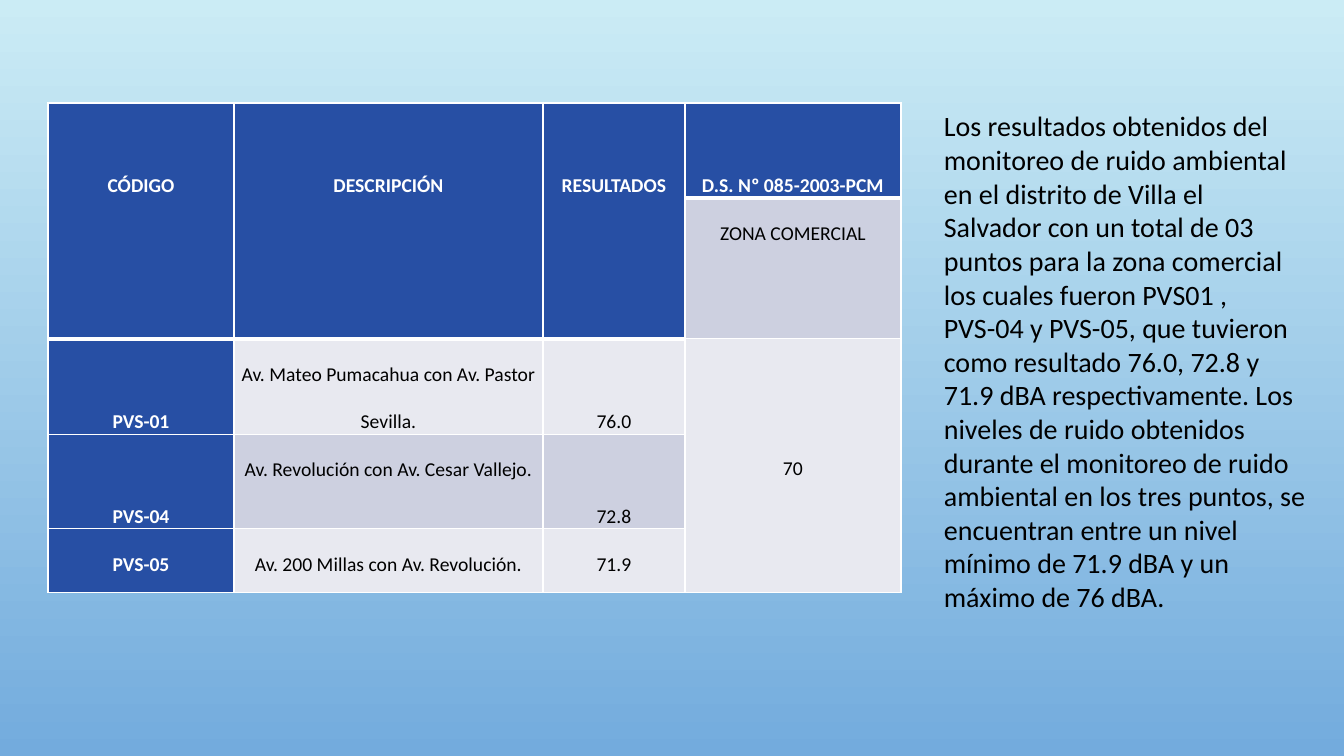
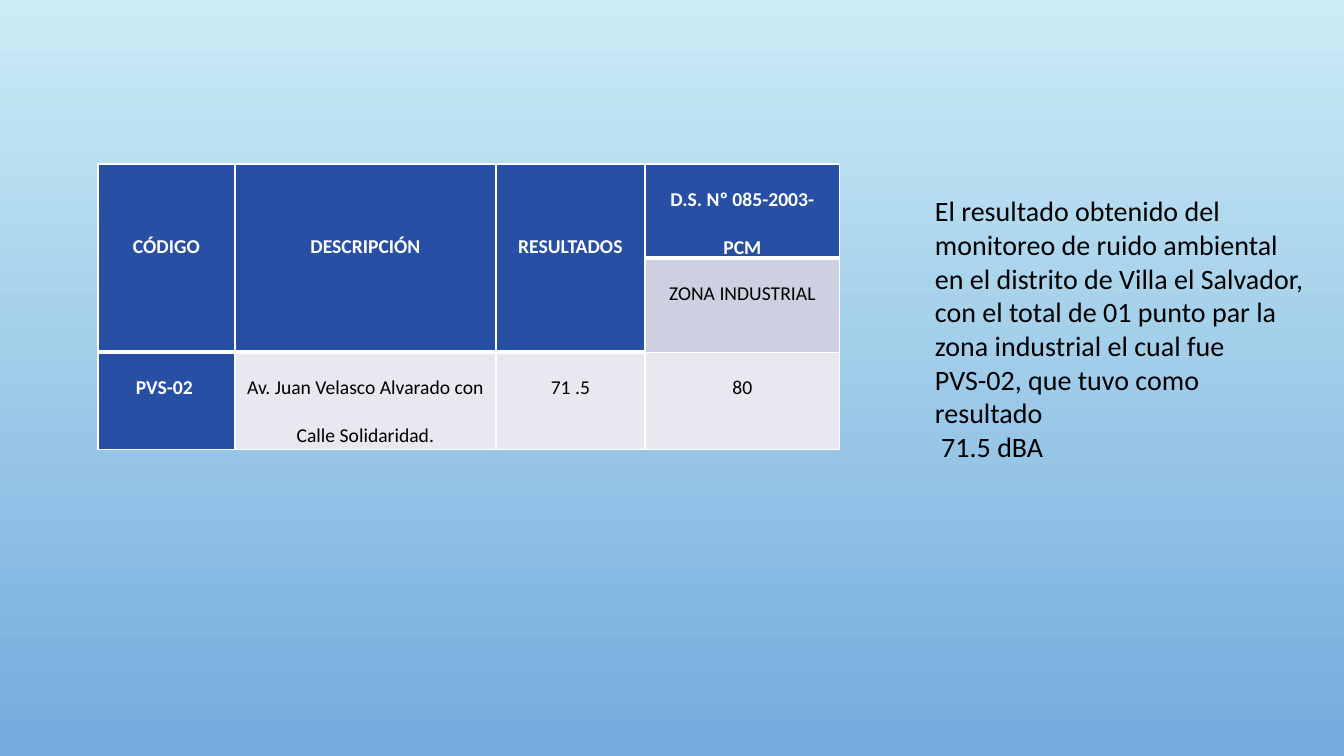
"""Build two slides of noise monitoring results, each a table with its reading."""
from dataclasses import dataclass

import lxml.etree
import pptx
import pptx.util
from pptx.dml.color import RGBColor
from pptx.enum.text import MSO_ANCHOR, MSO_AUTO_SIZE, PP_ALIGN
from pptx.oxml.ns import qn

PAGE_SIZE = (1344, 756)
SCALE = 12192000 / PAGE_SIZE[0]
LINE = 47
CELL_INSET = 7
THIN, THICK = 1, 3


@dataclass(frozen=True)
class Theme:
    font: str = "Calibri"
    table_size: int = 14
    reading_size: int = 20
    sky_top: str = "CBECF5"
    sky_bottom: str = "73ABDD"
    heading: str = "274FA4"
    band: str = "CDD0E0"
    light: str = "E8E9F0"
    white: str = "FFFFFF"
    ink: str = "000000"


THEME = Theme()
HEADINGS = ["CÓDIGO", "DESCRIPCIÓN", "RESULTADOS", "D.S. Nº 085-2003-PCM"]

SLIDES = [
    {
        "table_at": (48, 103),
        "columns": [186, 309, 142, 216],
        "rows": [94, 141, 93, 93, 64],
        "cells": [
            HEADINGS,
            ["", "", "", "ZONA COMERCIAL"],
            ["PVS-01", "Av. Mateo Pumacahua con Av. Pastor Sevilla.", "76.0", "70"],
            ["PVS-04", "Av. Revolución con Av. Cesar Vallejo.", "72.8", ""],
            ["PVS-05", "Av. 200 Millas con Av. Revolución.", "71.9", ""],
        ],
        "lines_above": [[1, 1, 1, 1], [0] * 4, [1, 0, 1, 2], [1, 0, 1, 0], [0] * 4],
        "reading_at": (934, 104, 382, 485),
        "reading": [
            "Los resultados obtenidos del monitoreo de ruido ambiental en el distrito "
            "de Villa el Salvador con un total de 03 puntos para la zona comercial los "
            "cuales fueron PVS01 , PVS-04 y PVS-05, que tuvieron como resultado 76.0, "
            "72.8 y 71.9 dBA respectivamente. Los niveles de ruido obtenidos durante "
            "el monitoreo de ruido ambiental en los tres puntos, se encuentran entre "
            "un nivel mínimo de 71.9 dBA y un máximo de 76 dBA.",
        ],
    },
    {
        "table_at": (98, 164),
        "columns": [137, 261, 149, 195],
        "rows": [94, 94, 97],
        "cells": [
            HEADINGS,
            ["", "", "", "ZONA INDUSTRIAL"],
            ["PVS-02 ", "Av. Juan Velasco Alvarado con Calle Solidaridad.", "71 .5", "80"],
        ],
        "lines_above": [[1, 1, 1, 0], [0] * 4, [0] * 4],
        "reading_at": (925, 189, 395, 248),
        "reading": [
            "El resultado obtenido del monitoreo de ruido ambiental en el distrito de "
            "Villa el Salvador, con el total de 01 punto par la zona industrial el cual "
            "fue PVS-02, que tuvo como resultado",
            " 71.5 dBA",
        ],
    },
]


def px(length):
    return pptx.util.Emu(round(length * SCALE))


def style_font(font, size, color, bold=False):
    font.name = THEME.font
    font.size = pptx.util.Pt(size)
    font.bold = bold
    font.color.rgb = RGBColor.from_string(color)


def paint_background(page):
    fill = page.background.fill
    fill.gradient()
    fill.gradient_angle = 270
    for stop, position, color in zip(
        fill.gradient_stops, (0, 1), (THEME.sky_top, THEME.sky_bottom)
    ):
        stop.position = position
        stop.color.rgb = RGBColor.from_string(color)


def set_borders(cell, widths):
    properties = cell._tc.get_or_add_tcPr()
    for index, (side, width) in enumerate(widths.items()):
        line = lxml.etree.Element(qn(f"a:ln{side}"), w=str(pptx.util.Pt(width)))
        solid = lxml.etree.SubElement(line, qn("a:solidFill"))
        lxml.etree.SubElement(solid, qn("a:srgbClr"), val=THEME.white)
        properties.insert(index, line)


def fill_cell(cell, text, lines_above, row, column):
    closes_heading = row == 0 or (row == 1 and column < 3)
    is_heading = closes_heading or column == 0
    cell.margin_left = cell.margin_right = px(CELL_INSET)
    cell.margin_top = px(lines_above * LINE)
    cell.margin_bottom = 0
    cell.vertical_anchor = MSO_ANCHOR.TOP
    cell.fill.solid()
    plain = THEME.band if row % 2 else THEME.light
    cell.fill.fore_color.rgb = RGBColor.from_string(THEME.heading if is_heading else plain)
    widths = {"L": THIN, "R": THIN}
    if row == 0:
        widths["T"] = THIN
    widths["B"] = THICK if closes_heading else THIN
    set_borders(cell, widths)
    para = cell.text_frame.paragraphs[0]
    if text:
        para.text = text
        para.alignment = PP_ALIGN.CENTER
        para.line_spacing = 2.0
    style_font(para.font, THEME.table_size, THEME.white if is_heading else THEME.ink, is_heading)


def add_results(page, content):
    columns, rows, cells = content["columns"], content["rows"], content["cells"]
    size = (sum(columns), sum(rows))
    frame = page.shapes.add_table(
        len(rows), len(columns), *map(px, content["table_at"] + size)
    )
    table = frame.table
    for column, width in zip(table.columns, columns):
        column.width = px(width)
    for row, height in zip(table.rows, rows):
        row.height = px(height)
    for row, (texts, offsets) in enumerate(zip(cells, content["lines_above"])):
        for column, (text, offset) in enumerate(zip(texts, offsets)):
            fill_cell(table.cell(row, column), text, offset, row, column)
    for column in range(3):
        table.cell(0, column).merge(table.cell(1, column))
    if len(rows) > 3:
        table.cell(2, 3).merge(table.cell(len(rows) - 1, 3))


def add_reading(page, content):
    box = page.shapes.add_textbox(*map(px, content["reading_at"]))
    frame = box.text_frame
    frame.word_wrap = True
    frame.auto_size = MSO_AUTO_SIZE.SHAPE_TO_FIT_TEXT
    for index, text in enumerate(content["reading"]):
        para = frame.add_paragraph() if index else frame.paragraphs[0]
        para.text = text
        style_font(para.font, THEME.reading_size, THEME.ink)


def main():
    deck = pptx.Presentation()
    deck.slide_width, deck.slide_height = map(px, PAGE_SIZE)
    for content in SLIDES:
        page = deck.slides.add_slide(deck.slide_layouts[6])
        paint_background(page)
        add_results(page, content)
        add_reading(page, content)
    deck.save("out.pptx")


if __name__ == "__main__":
    main()
